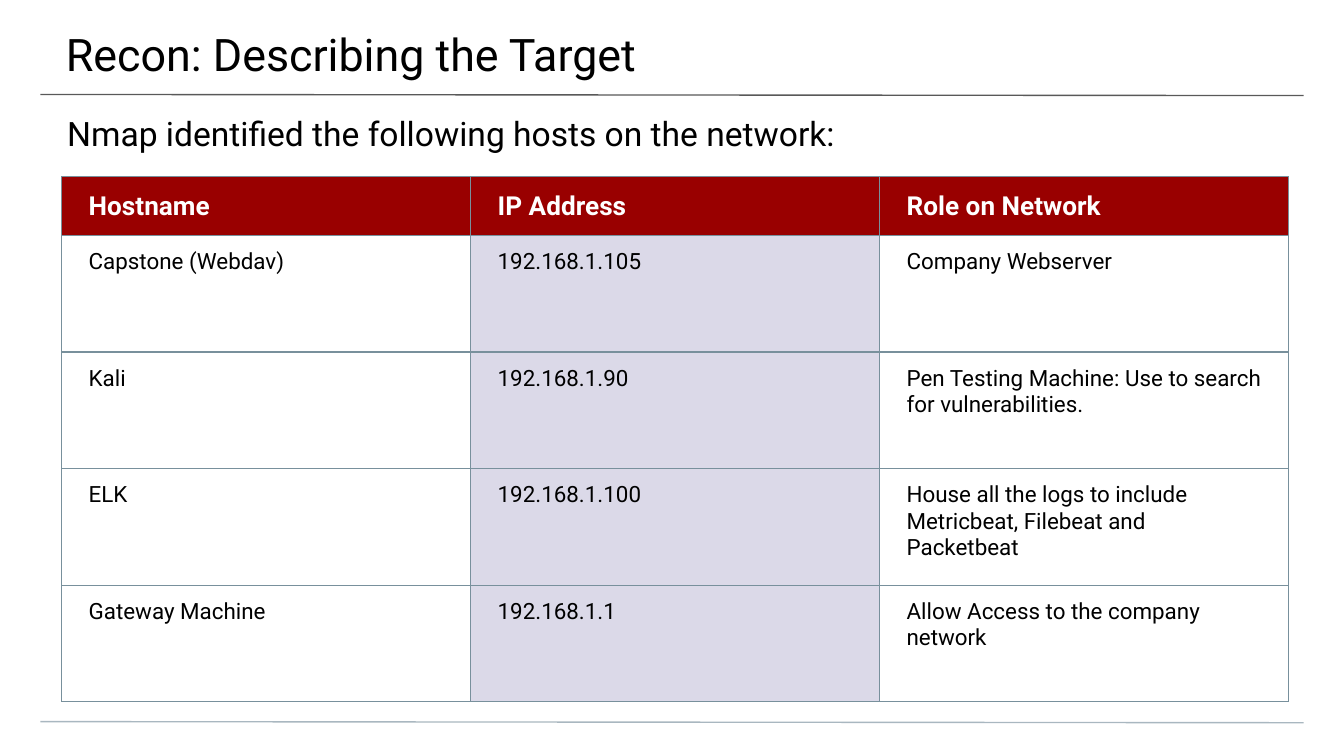
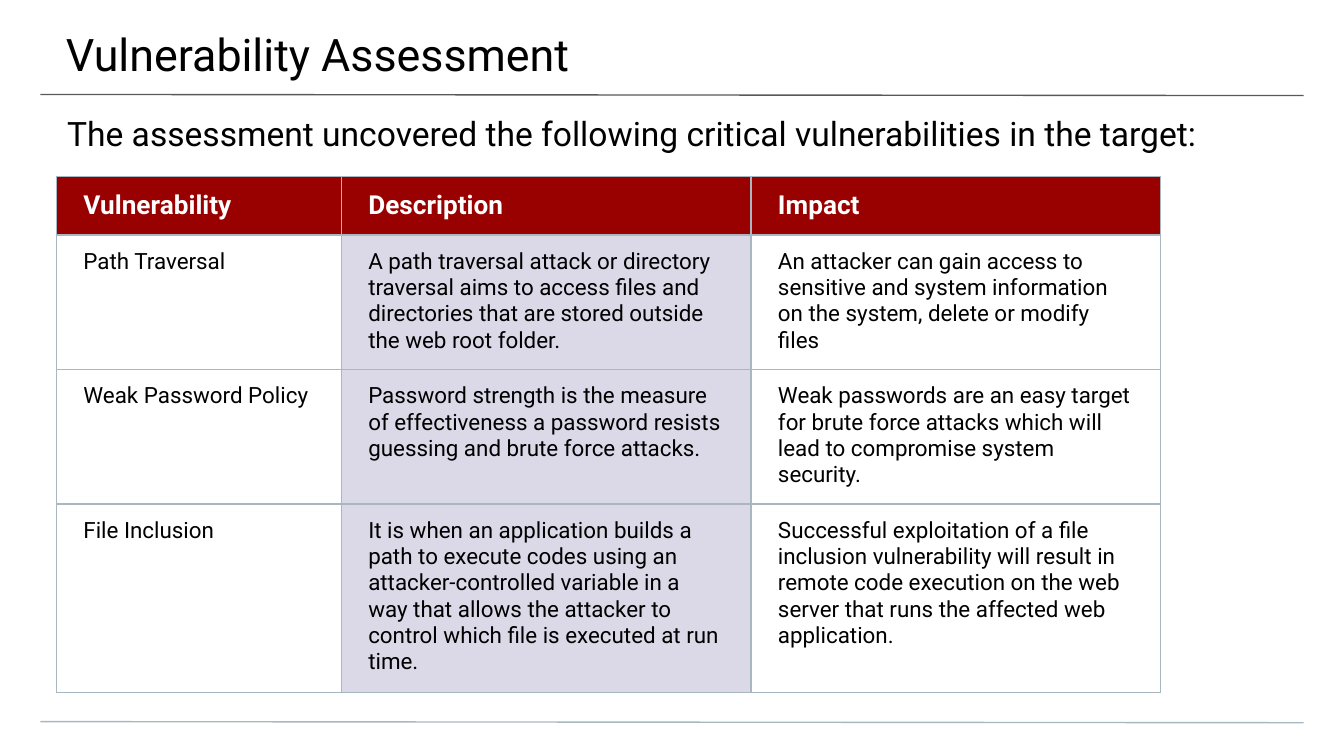
import pptx
import pptx.util
import pptx.dml.color
import pptx.enum.shapes
import pptx.enum.text
import pptx.oxml
import pptx.oxml.ns
from lxml import etree

Pt = pptx.util.Pt
FONT = "Roboto"
COLORS = {
    "text": "000000",
    "white": "FFFFFF",
    "header": "990000",
    "middle column": "DBD9E8",
    "title rule": "595959",
    "footer rule": "A9B7C0",
    "dark border": "78909C",
    "light border": "A9B7C0",
}

pages = [
    {
        "title": "Recon: Describing the Target",
        "subtitle": "Nmap identified the following hosts on the network:",
        "left": 33.1,
        "columns": [219.1, 219.1, 219.1],
        "header height": 31.4,
        "row height": 62.5,
        "border": "dark border",
        "rows": [
            ["Hostname", "IP Address", "Role on Network"],
            ["Capstone (Webdav)", "192.168.1.105", "Company Webserver"],
            ["Kali", "192.168.1.90",
             "Pen Testing Machine: Use to search for vulnerabilities."],
            ["ELK", "192.168.1.100",
             "House all the logs to include Metricbeat, Filebeat and Packetbeat"],
            ["Gateway Machine", "192.168.1.1", "Allow Access to the company network"],
        ],
    },
    {
        "title": "Vulnerability Assessment",
        "subtitle": "The assessment uncovered the following critical "
                    "vulnerabilities in the target:",
        "left": 30.3,
        "columns": [152.6, 219.5, 219.5],
        "header height": 31,
        "row height": 60.5,
        "border": "light border",
        "rows": [
            ["Vulnerability", "Description", "Impact"],
            ["Path Traversal",
             "A path traversal attack or directory traversal aims to access files and "
             "directories that are stored outside the web root folder.",
             "An attacker can gain access to sensitive and system information on the "
             "system, delete or modify files"],
            ["Weak Password Policy",
             "Password strength is the measure of effectiveness a password resists "
             "guessing and brute force attacks.",
             "Weak passwords are an easy target for brute force attacks which will lead "
             "to compromise system security."],
            ["File Inclusion",
             "It is when an application builds a path to execute codes using an "
             "attacker-controlled variable in a way that allows the attacker to control "
             "which file is executed at run time.",
             "Successful exploitation of a file inclusion vulnerability will result in "
             "remote code execution on the web server that runs the affected web "
             "application."],
        ],
    },
]


def color(name):
    return pptx.dml.color.RGBColor.from_string(COLORS[name])


def write(frame, text, size, color_name, margins, bold=False,
          anchor=pptx.enum.text.MSO_ANCHOR.TOP):
    """Fill a text frame or a table cell; margins run left, top, right, bottom."""
    frame.margin_left, frame.margin_top, frame.margin_right, frame.margin_bottom = map(
        Pt, margins)
    frame.vertical_anchor = anchor
    text_frame = getattr(frame, "text_frame", frame)
    text_frame.word_wrap = True
    text_frame.text = text
    para = text_frame.paragraphs[0]
    para.alignment = pptx.enum.text.PP_ALIGN.LEFT
    para.font.name = FONT
    para.font.size = Pt(size)
    para.font.bold = bold
    para.font.color.rgb = color(color_name)


deck = pptx.Presentation()
deck.slide_width, deck.slide_height = Pt(720), Pt(405)
title_only = deck.slide_layouts.get_by_name("Title Only")

for content in pages:
    page = deck.slides.add_slide(title_only)

    # Rules under the title and above the footer
    for top, name in [(50.6, "title rule"), (386.6, "footer rule")]:
        rule = page.shapes.add_connector(
            pptx.enum.shapes.MSO_CONNECTOR.STRAIGHT,
            Pt(21.6), Pt(top), Pt(698.4), Pt(top + 0.6))
        rule.line.color.rgb = color(name)
        rule.line.width = Pt(0.75)
        etree.SubElement(rule._element.spPr, pptx.oxml.ns.qn("a:effectLst"))

    # Title and subtitle
    title = page.shapes.title
    title.left, title.top, title.width, title.height = Pt(-0.7), Pt(0), Pt(722), Pt(42)
    write(title.text_frame, content["title"], 24, "text", (36, 14.4, 21.6, 7.2))
    title.text_frame.auto_size = pptx.enum.text.MSO_AUTO_SIZE.NONE
    subtitle = page.shapes.add_textbox(Pt(0), Pt(53.3), Pt(720), Pt(28.8))
    write(subtitle.text_frame, content["subtitle"], 18, "text", (36, 7.2, 36, 0))

    # Table
    rows, widths = content["rows"], content["columns"]
    heights = [content["header height"]] + [content["row height"]] * (len(rows) - 1)
    table = page.shapes.add_table(
        len(rows), len(widths), Pt(content["left"]), Pt(94.7),
        Pt(sum(widths)), Pt(sum(heights))).table
    for column, width in zip(table.columns, widths):
        column.width = Pt(width)
    for row, height in zip(table.rows, heights):
        row.height = Pt(height)

    for r, texts in enumerate(rows):
        for c, text in enumerate(texts):
            cell = table.cell(r, c)
            margins = (14.4, 7.2, 14.4, 7.2)
            if r == 0:
                write(cell, text, 14, "white", margins, True,
                      pptx.enum.text.MSO_ANCHOR.MIDDLE)
            else:
                write(cell, text, 12, "text", margins)

            # Borders come before the fill in the cell properties
            for side in ("lnL", "lnR", "lnT", "lnB"):
                cell._tc.get_or_add_tcPr().append(pptx.oxml.parse_xml(
                    f'<a:{side} {pptx.oxml.ns.nsdecls("a")} w="{Pt(0.75)}"><a:solidFill>'
                    f'<a:srgbClr val="{COLORS[content["border"]]}"/>'
                    f'</a:solidFill></a:{side}>'))
            if r == 0 or c == 1:
                cell.fill.solid()
                cell.fill.fore_color.rgb = color("header" if r == 0 else "middle column")
            else:
                cell.fill.background()

deck.save("out.pptx")
